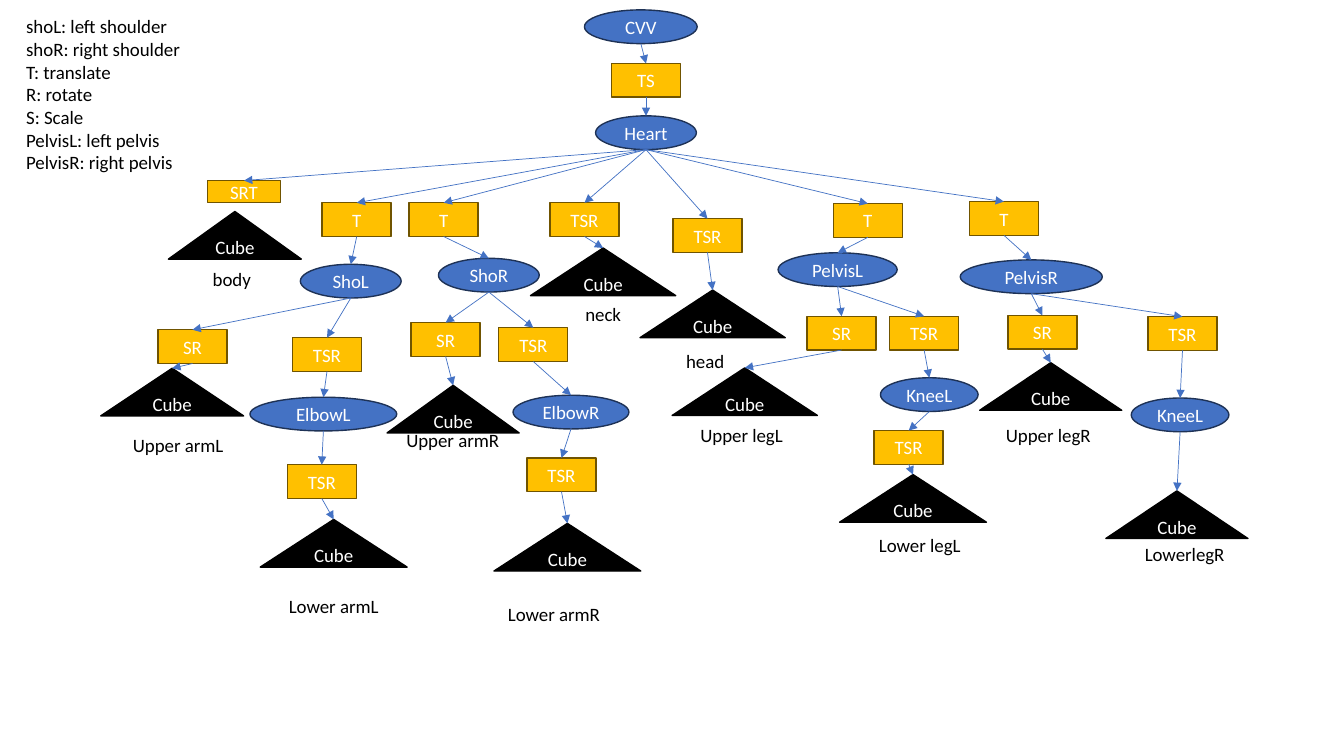
import pptx
import pptx.util
import pptx.dml.color
import pptx.enum.shapes
import pptx.enum.text
import pptx.oxml
import pptx.oxml.ns

Cm, Pt = pptx.util.Cm, pptx.util.Pt
RGBColor = pptx.dml.color.RGBColor
SHAPE = pptx.enum.shapes.MSO_SHAPE
BLUE = RGBColor(0x44, 0x72, 0xC4)
NAVY = RGBColor(0x1E, 0x32, 0x56)
GOLD = RGBColor(0xFF, 0xC0, 0x00)
BROWN = RGBColor(0x70, 0x54, 0x00)
BLACK = RGBColor(0, 0, 0)
WHITE = RGBColor(255, 255, 255)

# kind: shape, fill, line, height, bottom site
KINDS = {
    "joint": (SHAPE.OVAL, BLUE, NAVY, 0.85, 4),
    "move": (SHAPE.RECTANGLE, GOLD, BROWN, 0.85, 2),
    "slim": (SHAPE.RECTANGLE, GOLD, BROWN, 0.56, 2),
    "cube": (SHAPE.ISOSCELES_TRIANGLE, BLACK, BLACK, 1.2, 3),
}
LEGEND = ["shoL: left shoulder", "shoR: right shoulder", "T: translate", "R: rotate",
          "S: Scale", "PelvisL: left pelvis", "PelvisR: right pelvis"]
WIDE = 1.74
ROOT = "root"

# nodes: parent row, kind, text, centre, top, width; labels: text, left, top, width
TRUNK = ([(None, "joint", "CVV", -0.13, 0, 2.84),
          (0, "move", "TS", 0, 1.35, WIDE),
          (1, "joint", "Heart", 0, 2.67, 2.54)], [])
BODY = ([(ROOT, "slim", "SRT", 0, 0, 1.83),
         (None, "cube", "Cube", -0.23, 0.78, 3.35)],
        [("body", -1.04, 2.08, 2.13)])
ARM_L = ([(ROOT, "move", "T", 0, 0, WIDE),
          (0, "joint", "ShoL", -0.15, 1.55, 2.54),
          (1, "move", "SR", -4.14, 3.2, WIDE),
          (2, "cube", "Cube", -4.65, 4.17, 3.6),
          (1, "move", "TSR", -0.75, 3.4, WIDE),
          (4, "joint", "ElbowL", -0.84, 4.9, 3.7),
          (5, "move", "TSR", -0.88, 6.6, WIDE),
          (6, "cube", "Cube", -0.58, 7.98, 3.7)],
         [("Upper armL", -5.89, 5.69, 3.78), ("Lower armL", -1.96, 9.75, 3.45)])
ARM_R = ([(ROOT, "move", "T", 0, 0, WIDE),
          (0, "joint", "ShoR", 1.14, 1.4, 2.54),
          (1, "move", "SR", 0.05, 3.02, WIDE),
          (2, "cube", "Cube", 0.24, 4.6, 3.33),
          (1, "move", "TSR", 2.26, 3.15, WIDE),
          (4, "joint", "ElbowR", 3.21, 4.85, 2.92),
          (5, "move", "TSR", 2.97, 6.43, WIDE),
          (6, "cube", "Cube", 3.12, 8.08, 3.7)],
         [("Upper armR", -1.19, 5.56, 3.94), ("Lower armR", 1.37, 9.96, 4.72)])
NECK = ([(ROOT, "move", "TSR", 0, 0, WIDE),
         (0, "cube", "Cube", 0.47, 1.14, 3.66)],
        [("neck", -0.23, 2.39, 2.24)])
HEAD = ([(ROOT, "move", "TSR", 0, 0, WIDE),
         (0, "cube", "Cube", 0.13, 1.8, 3.66)],
        [("head", -0.79, 3.18, 2.24)])
LEG_L = ([(ROOT, "move", "T", 0, 0, WIDE),
          (0, "joint", "PelvisL", -0.76, 1.24, 3),
          (1, "move", "SR", -0.66, 2.84, WIDE),
          (2, "cube", "Cube", -3.1, 4.14, 3.66),
          (1, "move", "TSR", 1.42, 2.84, WIDE),
          (4, "joint", "KneeL", 1.55, 4.39, 2.46),
          (5, "move", "TSR", 1.03, 5.72, WIDE),
          (6, "cube", "Cube", 1.14, 6.83, 3.7)],
         [("Upper legL", -4.47, 5.41, 2.69), ("Lower legL", 0.03, 8.18, 2.69)])
LEG_R = ([(ROOT, "move", "T", 0, 0, WIDE),
          (0, "joint", "PelvisR", 0.69, 1.47, 3.58),
          (1, "move", "SR", 0.97, 2.87, WIDE),
          (2, "cube", "Cube", 1.18, 4.06, 3.58),
          (1, "move", "TSR", 4.5, 2.9, WIDE),
          (4, "joint", "KneeL", 4.44, 4.95, 2.46),
          (5, "cube", "Cube", 4.36, 7.29, 3.58)],
         [("Upper legR", -0.2, 5.46, 2.77), ("LowerlegR", 3.3, 8.48, 2.77)])
LIMBS = [(6.15, 4.55, BODY), (8.99, 5.11, ARM_L), (11.18, 5.11, ARM_R), (14.73, 5.11, NECK),
         (17.83, 5.51, HEAD), (21.87, 5.13, LEG_L), (25.3, 5.08, LEG_R)]


def style(frame, color):
    """Format all runs of a text frame."""
    for para in frame.paragraphs:
        for run in para.runs:
            run.font.name, run.font.size = "Calibri", Pt(13.5)
            run.font.color.rgb = color


def add_node(slide, kind, text, mid, top, width):
    """Draw one node centred on mid and return it with its bottom site."""
    form, fill, edge, height, site = KINDS[kind]
    node = slide.shapes.add_shape(form, Cm(mid - width / 2), Cm(top), Cm(width), Cm(height))
    node.shadow.inherit = False
    node.fill.solid()
    node.fill.fore_color.rgb = fill
    node.line.color.rgb, node.line.width = edge, Pt(1)
    frame = node.text_frame
    frame.text = text
    frame.vertical_anchor = pptx.enum.text.MSO_ANCHOR.MIDDLE
    frame.paragraphs[0].alignment = pptx.enum.text.PP_ALIGN.CENTER
    style(frame, WHITE)
    return node, site


def add_text(slide, lines, left, top, width, height, wrap=True):
    """Place a plain text box with one paragraph per line."""
    frame = slide.shapes.add_textbox(Cm(left), Cm(top), Cm(width), Cm(height)).text_frame
    frame.word_wrap = wrap
    frame.text = "\n".join(lines)
    style(frame, BLACK)


def add_link(slide, start, end):
    """Glue an arrow from the bottom of start to the top of end."""
    (parent, site), (child, _) = start, end
    link = slide.shapes.add_connector(pptx.enum.shapes.MSO_CONNECTOR.STRAIGHT, 0, 0, 0, 0)
    link.begin_connect(parent, 2)
    link.end_connect(child, 0)
    qn = pptx.oxml.ns.qn
    link._element.find(".//" + qn("a:stCxn")).set("idx", str(site))
    link.line.color.rgb, link.line.width = BLUE, Pt(0.5)
    tip = pptx.oxml.parse_xml(
        '<a:tailEnd %s type="triangle"/>' % pptx.oxml.ns.nsdecls("a"))
    link.line._get_or_add_ln().append(tip)
    link._element.spPr.append(link._element.spPr.makeelement(qn("a:effectLst"), {}))


def add_limb(slide, left, top, limb, root=None):
    """Draw a branch from its origin under root and return its last node."""
    rows, labels = limb
    nodes = [add_node(slide, kind, text, left + x, top + y, width)
             for _, kind, text, x, y, width in rows]
    for node, row in zip(nodes, rows):
        if row[0] is not None:
            add_link(slide, root if row[0] == ROOT else nodes[row[0]], node)
    for text, x, y, width in labels:
        add_text(slide, [text], left + x, top + y, width, 0.84)
    return nodes[-1]


def main():
    """Build the scene graph slide and save it."""
    deck = pptx.Presentation()
    deck.slide_width, deck.slide_height = Cm(33.87), Cm(19.05)
    slide = deck.slides.add_slide(deck.slide_layouts[6])
    heart = add_limb(slide, 16.28, 0.25, TRUNK)
    for left, top, limb in LIMBS:
        add_limb(slide, left, top, limb, heart)
    add_text(slide, LEGEND, 0.41, 0.25, 4.45, 4.29, wrap=False)
    deck.save("out.pptx")


if __name__ == "__main__":
    main()
